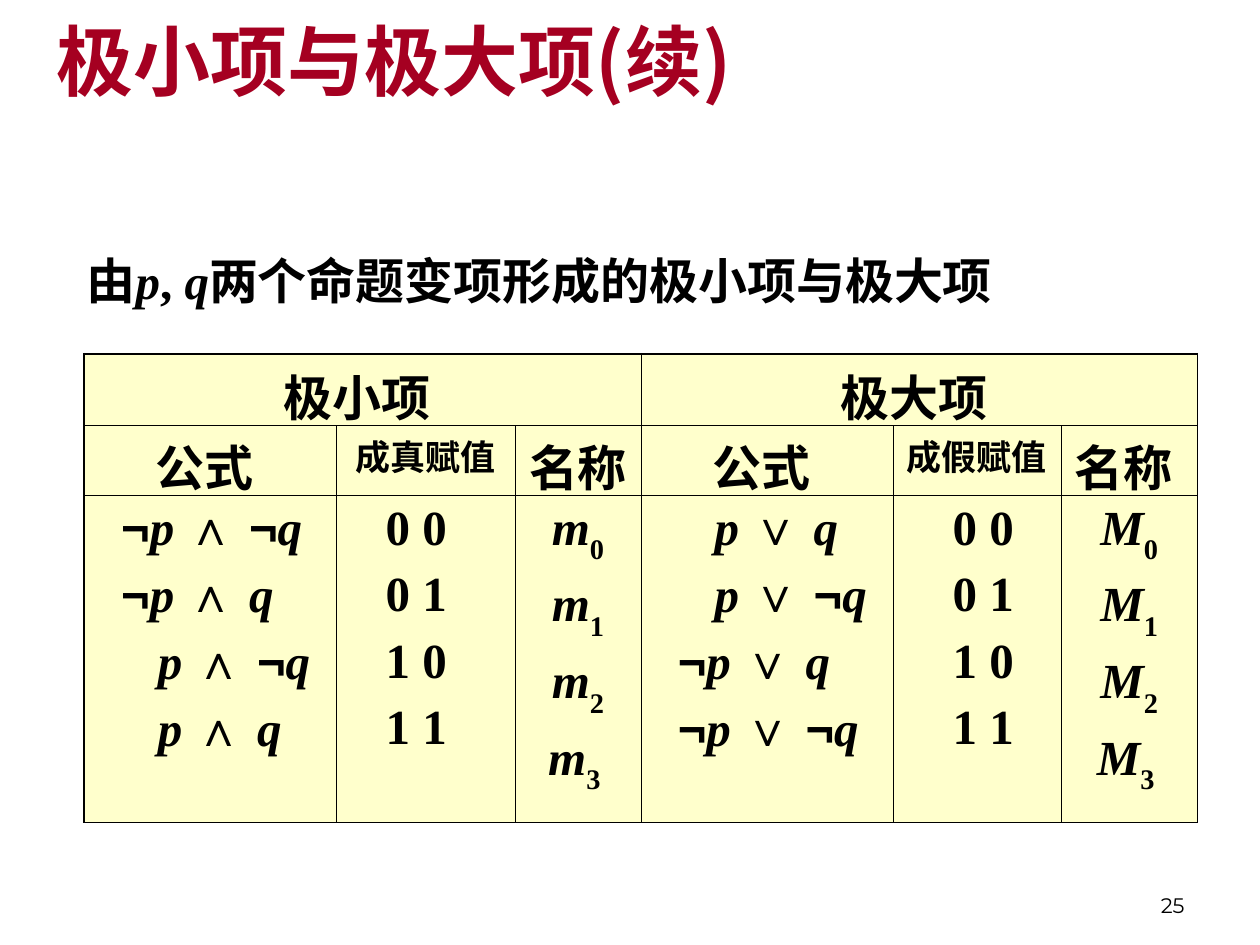
from lxml import etree
from pptx import Presentation
from pptx.dml.color import RGBColor
from pptx.enum import text
from pptx.oxml.ns import qn
from pptx.util import Cm, Pt

CJK, SERIF, SYMBOL = "Noto Sans CJK SC", "Times New Roman", "Arial"
BLACK, RED, CREAM = "000000", "A50021", "FFFFCC"
THIN, THICK = 0.45, 1.08
LEFT, CENTER, RIGHT = text.PP_ALIGN.LEFT, text.PP_ALIGN.CENTER, text.PP_ALIGN.RIGHT
COLUMNS = [5.08, 3.6, 2.54, 5.08, 3.39, 2.75]
ASSIGNMENTS = ["0 0", "0 1", "1 0", "1 1"]  # digits parted by one en space


def color(value):
    return RGBColor.from_string(value)


def add_run(paragraph, words, font=CJK, size=28, bold=True, italic=False,
            fill=BLACK, baseline=0):
    run = paragraph.add_run()
    run.text = words
    run.font.name, run.font.size = font, Pt(size)
    run.font.bold, run.font.italic = bold, italic
    run.font.color.rgb = color(fill)
    properties = run._r.get_or_add_rPr()
    etree.SubElement(properties, qn("a:ea")).set("typeface", font)
    if baseline:
        properties.set("baseline", str(baseline * 1000))


def add_text(slide, left, top, width, height, anchor, align=LEFT):
    """Add an empty text box and return its first paragraph."""
    frame = slide.shapes.add_textbox(Cm(left), Cm(top), Cm(width), Cm(height)).text_frame
    frame.word_wrap = True
    frame.vertical_anchor = anchor
    frame.paragraphs[0].alignment = align
    return frame.paragraphs[0]


def add_table(slide, top, widths, heights):
    """Add a cream grid with thin inner lines and a thick outer frame."""
    rows, columns = len(heights), len(widths)
    table = slide.shapes.add_table(rows, columns, Cm(1.7), Cm(top),
                                   Cm(sum(widths)), Cm(sum(heights))).table
    table.first_row = table.horz_banding = False
    for column, width in zip(table.columns, widths):
        column.width = Cm(width)
    for row, height in zip(table.rows, heights):
        row.height = Cm(height)
    for r in range(rows):
        for c in range(columns):
            cell = table.cell(r, c)
            outer = {"L": c == 0, "R": c == columns - 1, "T": r == 0, "B": r == rows - 1}
            for side, is_outer in outer.items():
                add_border(cell, side, THICK if is_outer else THIN)
            cell.fill.solid()
            cell.fill.fore_color.rgb = color(CREAM)
    return table


def add_border(cell, side, width):
    line = etree.SubElement(cell._tc.get_or_add_tcPr(), qn(f"a:ln{side}"), w=str(Pt(width)))
    fill = etree.SubElement(line, qn("a:solidFill"))
    etree.SubElement(fill, qn("a:srgbClr"), val=BLACK)


def fill_cell(cell, lines, align=CENTER, before=7, indents=None):
    """Write lines, each a list of (words, run options)."""
    frame = cell.text_frame
    for index, line in enumerate(lines):
        paragraph = frame.add_paragraph() if index else frame.paragraphs[0]
        paragraph.alignment = align
        paragraph.space_before = Pt(before)
        if indents:
            paragraph._p.get_or_add_pPr().set("marL", str(Cm(indents[index])))
        for words, options in line:
            add_run(paragraph, words, **options)


def fill_formulas(cell, operator, negations):
    """Write one formula per pair (p negated, q negated)."""
    symbol, variable = dict(font=SYMBOL), dict(font=SERIF, italic=True)
    lines = []
    for not_p, not_q in negations:
        line = [("¬", symbol)] if not_p else []
        line += [("p ", variable),
                 (operator + (" ¬" if not_q else " "), symbol),
                 ("q", variable)]
        lines.append(line)
    indents = [0.49 if not_p else 1.23 for not_p, _ in negations]
    fill_cell(cell, lines, LEFT, indents=indents)


def fill_names(cell, letter):
    fill_cell(cell, [[(letter, dict(font=SERIF, italic=True)),
                      (index, dict(font=SERIF, baseline=-30))]
                     for index in ("0", "1", "2", "3 ")])


def fill_assignments(cell, align, indent):
    fill_cell(cell, [[(digits, dict(font=SERIF))] for digits in ASSIGNMENTS],
              align, indents=[indent] * len(ASSIGNMENTS))


def main():
    presentation = Presentation()
    presentation.slide_width, presentation.slide_height = Cm(25.4), Cm(19.05)
    slide = presentation.slides.add_slide(presentation.slide_layouts[6])

    # Page number, title and lead sentence
    number = add_text(slide, 18.21, 17.35, 5.92, 1.27, text.MSO_ANCHOR.BOTTOM, RIGHT)
    add_run(number, "25", "Montserrat", 12, bold=False)
    title = add_text(slide, 0.89, 0, 22.23, 2.39, text.MSO_ANCHOR.MIDDLE)
    add_run(title, "极小项与极大项(续)", size=44, fill=RED)
    lead = add_text(slide, 1.5, 4.93, 22.86, 1.7, text.MSO_ANCHOR.TOP)
    lead.space_before = Pt(7)
    add_run(lead, "由")
    add_run(lead, "p", SERIF, italic=True)
    add_run(lead, ", ", SERIF)
    add_run(lead, "q", SERIF, italic=True)
    add_run(lead, "两个命题变项形成的极小项与极大项")

    # Column headings and the four rows of terms
    terms = add_table(slide, 8.53, COLUMNS, [1.45, 6.6])
    headings = ["公式 ", "成真赋值", "名称 ", "公式 ", "成假赋值", "名称 "]
    for column, heading in enumerate(headings):
        small = heading.endswith("赋值")
        fill_cell(terms.cell(0, column), [[(heading, dict(size=20 if small else 28))]],
                  before=5 if small else 7)
    minterms = [(True, True), (True, False), (False, True), (False, False)]
    fill_formulas(terms.cell(1, 0), "∧", minterms)
    fill_assignments(terms.cell(1, 1), LEFT, 0.74)
    fill_names(terms.cell(1, 2), "m")
    fill_formulas(terms.cell(1, 3), "∨", minterms[::-1])
    fill_assignments(terms.cell(1, 4), CENTER, 0.25)
    fill_names(terms.cell(1, 5), "M")

    # Group headings above the terms
    groups = add_table(slide, 7.13, [11.22, 11.22], [1.45])
    for column, heading in enumerate(["极小项 ", "极大项 "]):
        fill_cell(groups.cell(0, column), [[(heading, {})]])

    presentation.save("out.pptx")


if __name__ == "__main__":
    main()
